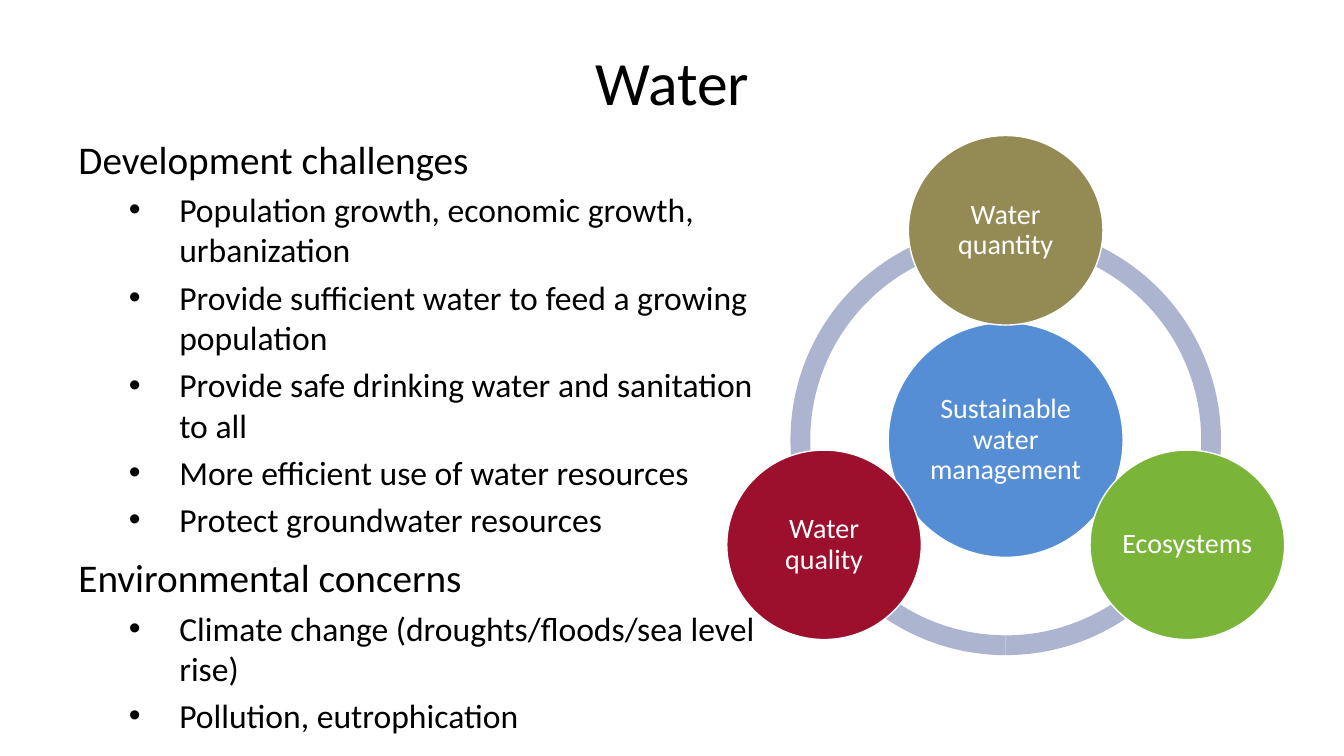
import math
from dataclasses import dataclass

from lxml import etree
from pptx import Presentation
from pptx import util as u
from pptx.dml.color import RGBColor
from pptx.enum import shapes, text
from pptx.oxml.ns import qn


@dataclass(frozen=True)
class Theme:
    font: str = "Calibri"
    ink: str = "000000"
    white: str = "FFFFFF"
    ring: str = "ACB4D0"
    hub: str = "558ED5"
    title_size: int = 44
    heading_size: int = 28
    bullet_size: int = 24
    circle_size: int = 20


THEME = Theme()

SECTIONS = [
    ("Development challenges", [
        "Population growth, economic growth, urbanization",
        "Provide sufficient water to feed a growing population",
        "Provide safe drinking water and sanitation to all",
        "More efficient use of water resources",
        "Protect groundwater resources",
    ]),
    ("Environmental concerns", [
        "Climate change (droughts/floods/sea level rise)",
        "Pollution, eutrophication",
    ]),
]

# Label, fill and angle in degrees, clockwise from the right
SATELLITES = [
    ("Water quantity", "948A54", -90),
    ("Ecosystems", "7AB539", 30),
    ("Water quality", "9D102D", 150),
]
ARCS = [(90, 162), (18, 90), (162, 18)]


def add_run(p, words, size, color):
    r = p.add_run()
    r.text = words
    r.font.name = THEME.font
    r.font.size = u.Pt(size)
    r.font.color.rgb = RGBColor.from_string(color)


def add_text_frame(s, box):
    tf = s.shapes.add_textbox(*map(u.Inches, box)).text_frame
    tf.word_wrap = True
    return tf


def set_indent(p, left, hanging=0, bullet=None):
    pPr = p._p.get_or_add_pPr()
    pPr.set("marL", str(u.Inches(left)))
    pPr.set("indent", str(u.Inches(-hanging)))
    if bullet:
        etree.SubElement(pPr, qn("a:buFont")).set("typeface", "Arial")
        etree.SubElement(pPr, qn("a:buChar")).set("char", bullet)


def add_title(s, box, words):
    tf = add_text_frame(s, box)
    tf.vertical_anchor = text.MSO_ANCHOR.BOTTOM
    p = tf.paragraphs[0]
    p.alignment = text.PP_ALIGN.CENTER
    p.line_spacing = 0.9
    add_run(p, words, THEME.title_size, THEME.ink)


def add_outline(s, box, sections):
    tf = add_text_frame(s, box)
    for i, (heading, bullets) in enumerate(sections):
        p = tf.add_paragraph() if i else tf.paragraphs[0]
        set_indent(p, 0.05)
        if i:
            p.space_before = u.Pt(10)
        add_run(p, heading, THEME.heading_size, THEME.ink)
        for bullet in bullets:
            p = tf.add_paragraph()
            p.level = 1
            set_indent(p, 1.05, 0.5, "•")
            p.space_before = u.Pt(5)
            add_run(p, bullet, THEME.bullet_size, THEME.ink)


def add_centered(s, kind, cx, cy, width, height, fill):
    """Add a filled shape around the given centre."""
    box = (cx - width / 2, cy - height / 2, width, height)
    sp = s.shapes.add_shape(kind, *map(u.Inches, box))
    sp.shadow.inherit = False
    sp.fill.solid()
    sp.fill.fore_color.rgb = RGBColor.from_string(fill)
    sp.line.fill.background()
    return sp


def add_circle(s, cx, cy, width, height, fill, label):
    sp = add_centered(s, shapes.MSO_SHAPE.OVAL, cx, cy, width, height, fill)
    sp.line.color.rgb = RGBColor.from_string(THEME.white)
    sp.line.width = u.Pt(1)
    tf = sp.text_frame
    tf.word_wrap = True
    tf.vertical_anchor = text.MSO_ANCHOR.MIDDLE
    tf.margin_left = tf.margin_right = u.Inches(0.03)
    tf.margin_top = tf.margin_bottom = u.Inches(0.03)
    p = tf.paragraphs[0]
    p.alignment = text.PP_ALIGN.CENTER
    p.line_spacing = 0.9
    add_run(p, label, THEME.circle_size, THEME.white)


def add_water_cycle(s, box, hub_label, satellites):
    """Draw a ring in the box, a hub at its centre and circles along it."""
    left, top, width, height = box
    cx, cy = left + width / 2, top + height / 2
    for start, end in ARCS:
        arc = add_centered(s, shapes.MSO_SHAPE.BLOCK_ARC, cx, cy, width, height, THEME.ring)
        # Angles are stored in 1/60000 degree, adjustments in 1/100000
        arc.adjustments[0] = start * 0.6
        arc.adjustments[1] = end * 0.6
        arc.adjustments[2] = 0.046
    add_circle(s, cx, cy, 2.33, 2.33, THEME.hub, hub_label)
    orbit = 2.08
    for label, fill, degrees in satellites:
        angle = math.radians(degrees)
        add_circle(s, cx + orbit * math.cos(angle), cy + orbit * math.sin(angle),
                   1.93, 1.88, fill, label)


def main():
    prs = Presentation()
    prs.slide_width, prs.slide_height = u.Inches(13.33), u.Inches(7.5)
    s = prs.slides.add_slide(prs.slide_layouts[6])
    add_title(s, (1.9, 0.05, 9.54, 1.18), "Water")
    add_outline(s, (0.63, 1.29, 6.99, 6.1), SECTIONS)
    add_water_cycle(s, (7.84, 2.23, 4.27, 4.27), "Sustainable water management", SATELLITES)
    prs.save("out.pptx")


if __name__ == "__main__":
    main()
